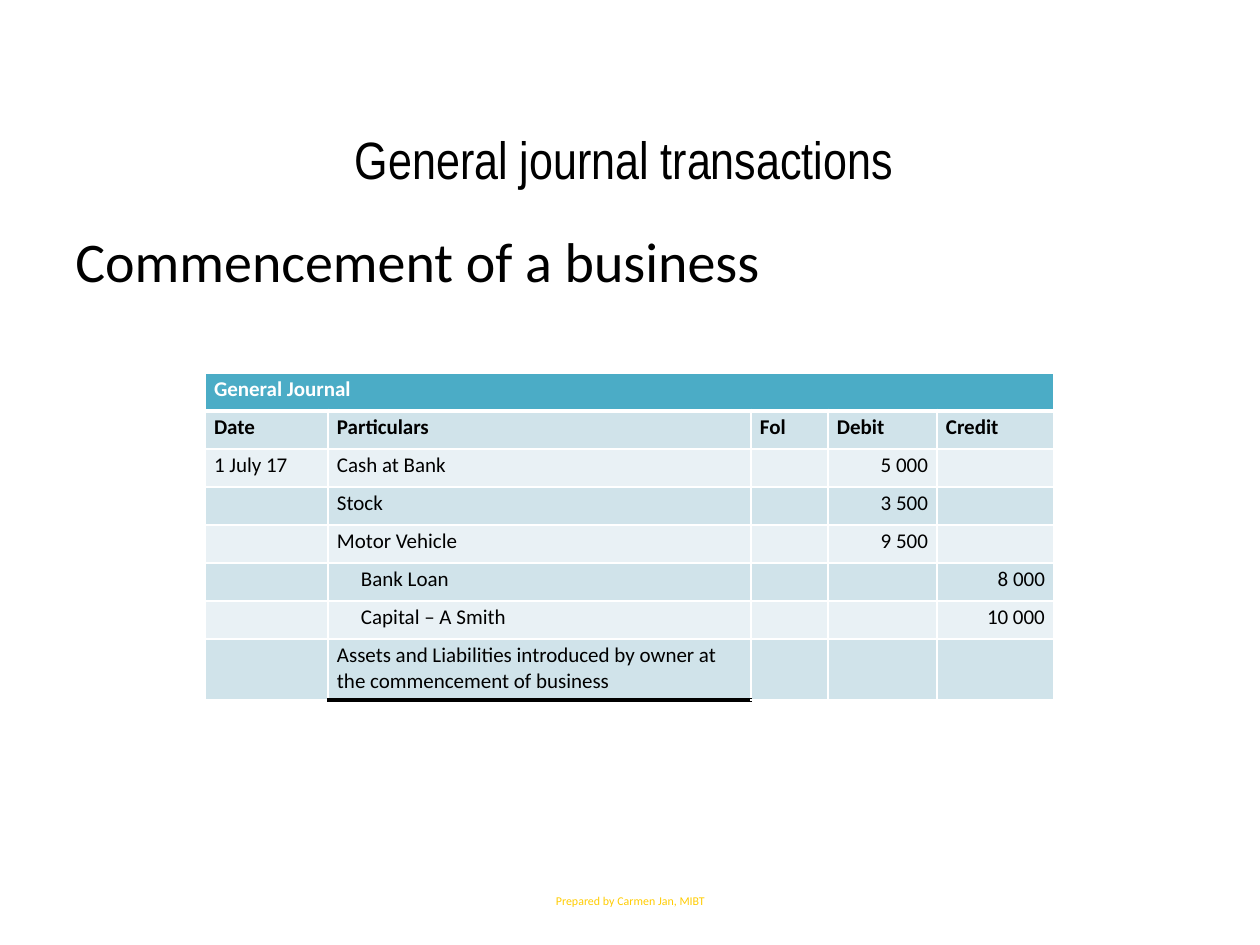
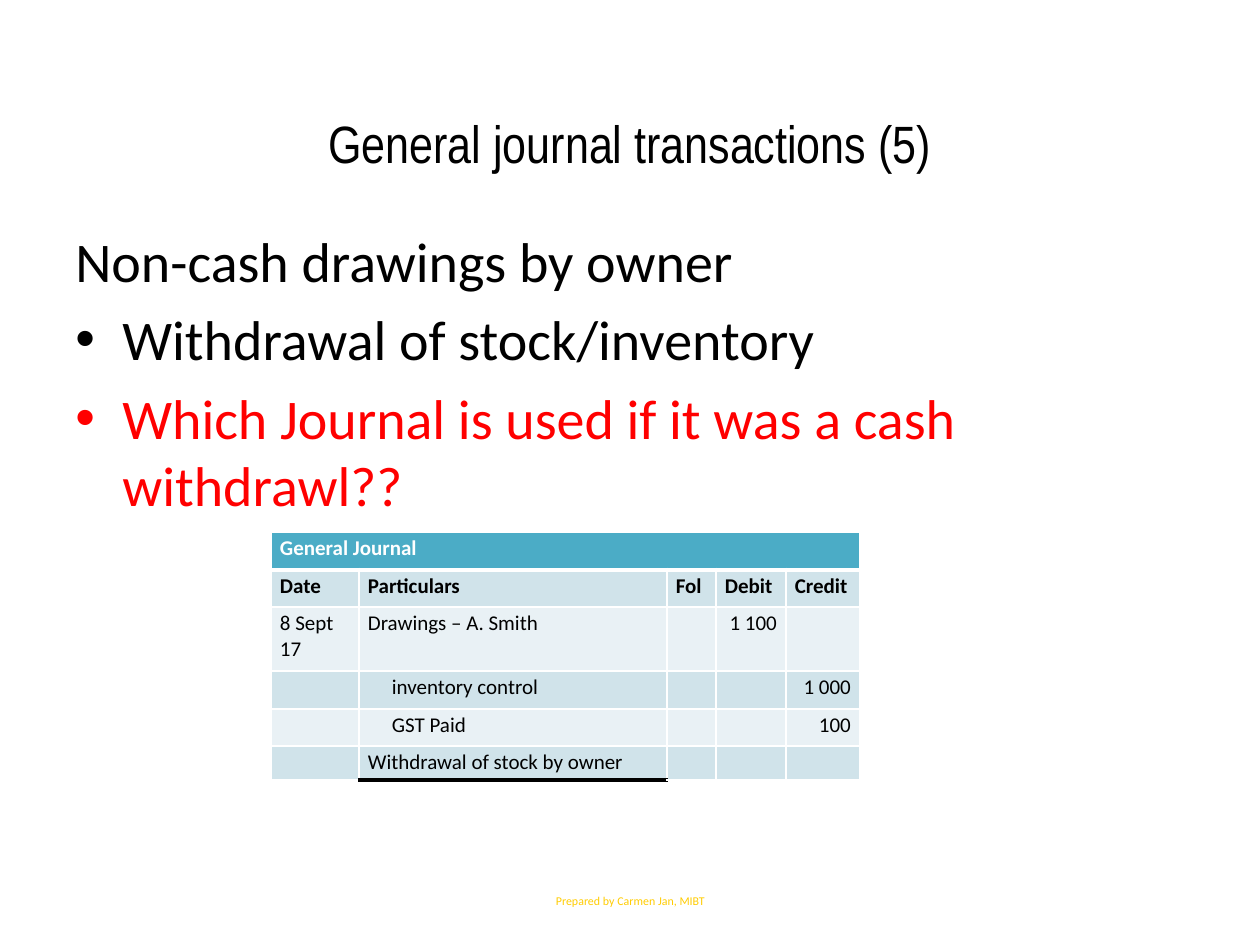
from lxml import etree
from pptx import Presentation
from pptx import util as u
from pptx.dml.color import RGBColor
from pptx.enum import text
from pptx.oxml.ns import qn

PX = 914400 / 126
BLACK = RGBColor(0x00, 0x00, 0x00)
WHITE = RGBColor(0xFF, 0xFF, 0xFF)
RED = RGBColor(0xFF, 0x00, 0x00)
GOLD = RGBColor(0xFF, 0xCC, 0x00)
TEAL = RGBColor(0x4B, 0xAC, 0xC6)
BAND_DARK = RGBColor(0xD0, 0xE3, 0xEA)
BAND_LIGHT = RGBColor(0xE9, 0xF1, 0xF5)

BODY_FONT, TITLE_FONT = "Calibri", "Arial Narrow"
CELL_SIZE = 12
ENTRY_INDENT = 24
BODY_INDENT = 47
BODY_BOX = (63, 220, 1134, 624)
FOOTER_BOX = (431, 876, 399, 50)
HEADINGS = ("Date", "Particulars", "Fol", "Debit", "Credit")
THIN, THICK, RULE = (WHITE, 1), (WHITE, 3), (BLACK, 3)


def px(length):
    return u.Emu(round(length * PX))


def write(para, words, size=CELL_SIZE, font=BODY_FONT, color=BLACK, bold=False,
          align=text.PP_ALIGN.LEFT):
    para.alignment = align
    span = para.add_run()
    span.text = words
    span.font.size = u.Pt(size)
    span.font.name = font
    span.font.bold = bold
    span.font.color.rgb = color


def set_indent(para, left, first=0):
    props = para._p.get_or_add_pPr()
    props.set("marL", str(px(left)))
    props.set("indent", str(px(first)))
    return props


def add_frame(page, box, anchor=text.MSO_ANCHOR.TOP):
    frame = page.shapes.add_textbox(*map(px, box)).text_frame
    frame.word_wrap = True
    frame.vertical_anchor = anchor
    return frame


def add_centred_line(page, box, words, **style):
    frame = add_frame(page, box, text.MSO_ANCHOR.MIDDLE)
    write(frame.paragraphs[0], words, align=text.PP_ALIGN.CENTER, **style)


def add_body(page, box, lines):
    """Lines are (words, bulleted, color)."""
    frame = add_frame(page, box)
    for index, (words, bulleted, color) in enumerate(lines):
        para = frame.add_paragraph() if index else frame.paragraphs[0]
        props = set_indent(para, BODY_INDENT, -BODY_INDENT)
        if index:
            para.space_before = u.Pt(6.4)
        if bulleted:
            etree.SubElement(props, qn("a:buFont")).set("typeface", "Arial")
            etree.SubElement(props, qn("a:buChar")).set("char", "•")
        write(para, words, size=32, color=color)


def set_borders(cell, top, bottom):
    props = cell._tc.get_or_add_tcPr()
    sides = {"lnL": THIN, "lnR": THIN, "lnT": top, "lnB": bottom}
    for index, (side, (color, width)) in enumerate(sides.items()):
        line = etree.Element(qn(f"a:{side}"), w=str(u.Pt(width)))
        fill = etree.SubElement(line, qn("a:solidFill"))
        etree.SubElement(fill, qn("a:srgbClr")).set("val", str(color))
        props.insert(index, line)


def fill_cell(cell, words, band, **style):
    cell.margin_left = cell.margin_right = px(9)
    cell.margin_top = cell.margin_bottom = px(4)
    cell.fill.solid()
    cell.fill.fore_color.rgb = band
    para = cell.text_frame.paragraphs[0]
    if words:
        write(para, words, **style)
    else:
        # Keeps empty cells from stretching the row
        para._p.get_or_add_endParaRPr().set("sz", str(CELL_SIZE * 100))


def add_journal(page, corner, widths, heights, entries):
    """Entries are (date, particulars, debit, credit); the last is the narration."""
    grid = [("General Journal", "", "", "", ""), HEADINGS]
    grid += [(date, item, "", debit, credit) for date, item, debit, credit in entries]
    box = map(px, (*corner, sum(widths), sum(heights)))
    table = page.shapes.add_table(len(grid), len(widths), *box).table
    table.first_row = table.horz_banding = False
    for column, width in zip(table.columns, widths):
        column.width = px(width)

    for r, (row, height) in enumerate(zip(grid, heights)):
        table.rows[r].height = px(height)
        band = TEAL if r == 0 else BAND_DARK if r % 2 else BAND_LIGHT
        for c, words in enumerate(row):
            cell = table.cell(r, c)
            is_amount = r > 1 and c > 2
            is_narration = r == len(grid) - 1 and c == 1
            fill_cell(cell, words, band, bold=r < 2, color=BLACK if r else WHITE,
                      align=text.PP_ALIGN.RIGHT if is_amount else text.PP_ALIGN.LEFT)
            set_borders(cell, top=THICK if r == 1 else THIN,
                        bottom=RULE if is_narration else THIN if r else THICK)
        # Credited accounts are set in from the debited ones
        if r > 1 and row[4]:
            set_indent(table.cell(r, 1).text_frame.paragraphs[0], ENTRY_INDENT)
    table.cell(0, 0).merge(table.cell(0, len(widths) - 1))


def add_page(deck, title, title_top, lines, journal):
    page = deck.slides.add_slide(deck.slide_layouts[6])
    add_body(page, BODY_BOX, lines)
    add_centred_line(page, FOOTER_BOX, "Prepared by Carmen Jan, MIBT", size=6.8, color=GOLD)
    add_journal(page, **journal)
    add_centred_line(page, (205, title_top, 850, 92), title, size=30, font=TITLE_FONT)


def main():
    deck = Presentation()
    deck.slide_width, deck.slide_height = u.Inches(10), u.Inches(7.5)

    # Commencement of a business
    add_page(
        deck, "General journal transactions ", 112,
        [("Commencement of a business", False, BLACK)],
        dict(corner=(205, 373), widths=(123, 423, 77, 109, 117),
             heights=[38] * 7 + [61],
             entries=[
                 ("1 July 17", "Cash at Bank", "5 000", ""),
                 ("", "Stock", "3 500", ""),
                 ("", "Motor Vehicle", "9 500", ""),
                 ("", "Bank Loan", "", "8 000"),
                 ("", "Capital – A Smith", "", "10 000"),
                 ("", "Assets and Liabilities introduced by owner at "
                      "the commencement of business", "", ""),
             ]))

    # Non-cash drawings
    add_page(
        deck, "General journal transactions (5)", 97,
        [("Non-cash drawings by owner", False, BLACK),
         ("Withdrawal of stock/inventory", True, BLACK),
         ("Which Journal is used if it was a cash withdrawl??", True, RED)],
        dict(corner=(271, 532), widths=(88, 308, 49, 70, 74),
             heights=[38, 37, 64, 38, 37, 34],
             entries=[
                 ("8 Sept 17", "Drawings – A. Smith", "1 100", ""),
                 ("", "inventory control", "", "1 000"),
                 ("", "GST Paid", "", "100"),
                 ("", "Withdrawal of stock by owner", "", ""),
             ]))

    deck.save("out.pptx")


if __name__ == "__main__":
    main()
